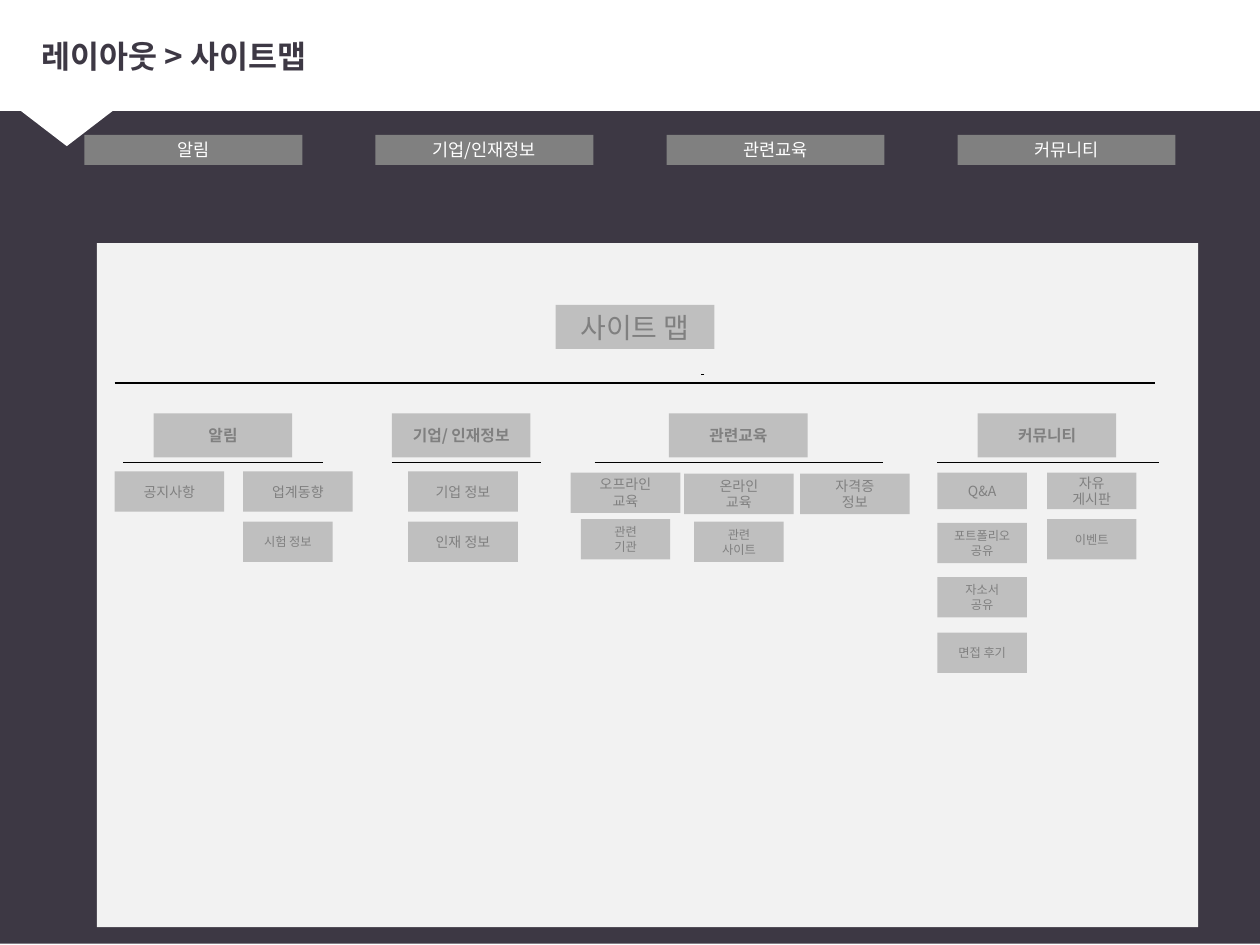
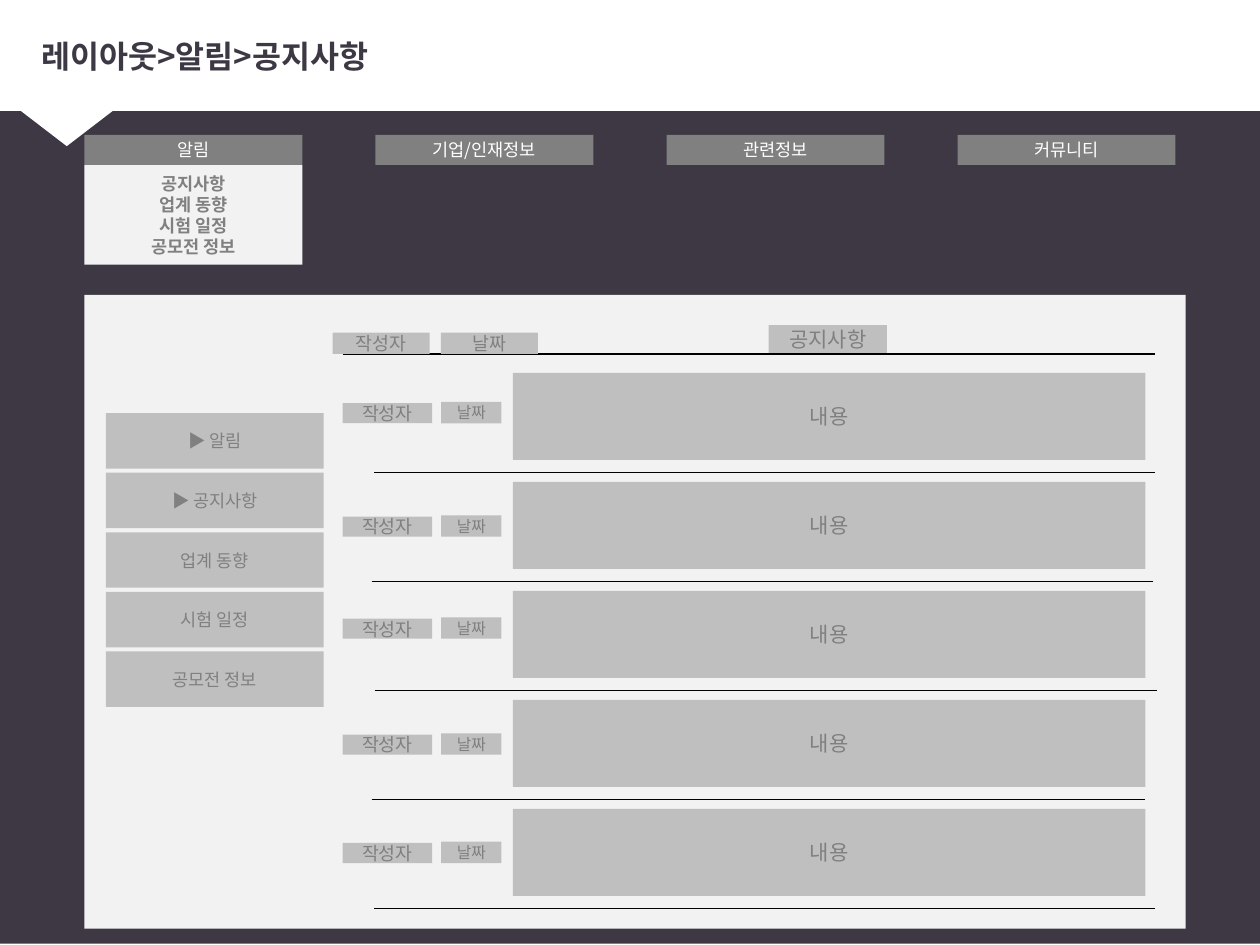
import pptx
import pptx.util
import pptx.oxml.ns
import pptx.dml.color
import pptx.enum.shapes
import pptx.enum.text
import lxml.etree

Inches = pptx.util.Inches
SHAPE = pptx.enum.shapes.MSO_SHAPE
FONT = "Noto Sans CJK KR"
COLORS = {
    "dark": "3D3844",
    "white": "FFFFFF",
    "grey": "808080",
    "block": "BFBFBF",
    "panel": "F2F2F2",
    "rule": "000000",
}

# Site map groups: heading, heading left, rule ends, pages.
# Each page: text, left, top, width, height, text size.
SITE_GROUPS = [
    ("알림", 1.22, (0.98, 2.56), [
        ("공지사항", 0.91, 3.74, 0.87, 0.32, 8),
        ("업계동향", 1.93, 3.74, 0.87, 0.32, 8),
        ("시험 정보", 1.93, 4.14, 0.71, 0.32, 7),
    ]),
    ("기업/ 인재정보", 3.11, (3.11, 4.29), [
        ("기업 정보", 3.24, 3.74, 0.87, 0.32, 8),
        ("인재 정보", 3.24, 4.14, 0.87, 0.32, 8),
    ]),
    ("관련교육", 5.31, (4.72, 7.01), [
        ("오프라인\n교육", 4.53, 3.75, 0.87, 0.32, 8),
        ("온라인\n교육", 5.43, 3.76, 0.87, 0.32, 8),
        ("자격증\n정보", 6.35, 3.76, 0.87, 0.32, 8),
        ("관련\n기관", 4.61, 4.12, 0.71, 0.32, 7),
        ("관련\n사이트", 5.51, 4.14, 0.71, 0.32, 7),
    ]),
    ("커뮤니티", 7.76, (7.44, 9.2), [
        ("Q&A", 7.44, 3.75, 0.71, 0.29, 8),
        ("자유\n게시판", 8.31, 3.75, 0.71, 0.29, 8),
        ("포트폴리오\n공유", 7.44, 4.15, 0.71, 0.32, 7),
        ("이벤트", 8.31, 4.12, 0.71, 0.32, 7),
        ("자소서\n공유", 7.44, 4.58, 0.71, 0.32, 7),
        ("면접 후기", 7.44, 5.02, 0.71, 0.32, 7),
    ]),
]

# Notice rows: top of the author label, ends of the rule below
NOTICE_ROWS = [
    (3.2, 2.97, 9.17),
    (4.1, 2.95, 9.15),
    (4.91, 2.98, 9.18),
    (5.83, 2.95, 9.09),
    (6.69, 2.97, 9.17),
]
NOTICE_PITCH = 0.865
SIDE_MENU = ["▶ 알림", "▶ 공지사항", "업계 동향", "시험 일정", "공모전 정보"]
SIDE_PITCH = 0.4725


def rgb(name):
    return pptx.dml.color.RGBColor.from_string(COLORS[name])


def write(shape, text, size=10, color="grey", bold=False, align="CENTER"):
    """Fill a shape with text, one paragraph per line."""
    frame = shape.text_frame
    frame.word_wrap = True
    frame.vertical_anchor = pptx.enum.text.MSO_ANCHOR.MIDDLE
    for index, line in enumerate(text.split("\n")):
        paragraph = frame.paragraphs[0] if index == 0 else frame.add_paragraph()
        paragraph.alignment = getattr(pptx.enum.text.PP_ALIGN, align)
        run = paragraph.add_run()
        run.text = line
        run.font.size = pptx.util.Pt(size)
        run.font.bold = bold
        run.font.color.rgb = rgb(color)
        run.font.name = FONT
        # Korean text takes the East Asian typeface
        east_asian = lxml.etree.SubElement(
            run._r.get_or_add_rPr(), pptx.oxml.ns.qn("a:ea"))
        east_asian.set("typeface", FONT)


def block(slide, left, top, width, height, fill="block", text="",
          kind=SHAPE.RECTANGLE, **text_format):
    shape = slide.shapes.add_shape(
        kind, Inches(left), Inches(top), Inches(width), Inches(height))
    shape.shadow.inherit = False
    shape.fill.solid()
    shape.fill.fore_color.rgb = rgb(fill)
    shape.line.fill.background()
    if text:
        write(shape, text, **text_format)
    return shape


def rule(slide, start, end, top):
    line = slide.shapes.add_connector(
        pptx.enum.shapes.MSO_CONNECTOR.STRAIGHT,
        Inches(start), Inches(top), Inches(end), Inches(top))
    line.line.color.rgb = rgb("rule")
    line.line.width = pptx.util.Pt(0.75)
    lxml.etree.SubElement(
        line._element.spPr, pptx.oxml.ns.qn("a:effectLst"))


def add_page(deck, title, menu):
    """Slide with the shared backdrop, title and top menu."""
    slide = deck.slides.add_slide(deck.slide_layouts[6])
    block(slide, 0, -0.01, 10.14, 7.5, "dark")
    block(slide, -0.03, -0.02, 10.17, 0.9, "white")
    pointer = block(slide, -0.2, 0.6, 1.46, 0.56, "white",
                    kind=SHAPE.ISOSCELES_TRIANGLE)
    pointer.rotation = 180
    heading = slide.shapes.add_textbox(
        Inches(0.23), Inches(0.13), Inches(9.66), Inches(0.62))
    write(heading, title, size=18, color="dark", bold=True, align="LEFT")
    for index, entry in enumerate(menu):
        block(slide, 0.67 + 2.31 * index, 1.07, 1.73, 0.24, "grey", entry,
              color="white")
    return slide


def build_site_map(deck):
    slide = add_page(deck, "레이아웃 > 사이트맵",
                     ["알림", "기업/인재정보", "관련교육", "커뮤니티"])
    block(slide, 0.77, 1.93, 8.74, 5.43, "panel")
    rule(slide, 0.91, 9.17, 3.04)
    rule(slide, 5.59, 5.56, 2.97)
    block(slide, 4.41, 2.42, 1.26, 0.35, text="사이트 맵", size=16)

    for heading, heading_left, (start, end), pages in SITE_GROUPS:
        block(slide, heading_left, 3.28, 1.1, 0.35, text=heading,
              size=9, bold=True)
        rule(slide, start, end, 3.67)
        for page, left, top, width, height, size in pages:
            block(slide, left, top, width, height, text=page, size=size)


def build_notices(deck):
    slide = add_page(deck, "레이아웃>알림>공지사항",
                     ["알림", "기업/인재정보", "관련정보", "커뮤니티"])
    # Open drop-down under the first menu entry
    block(slide, 0.67, 1.31, 1.73, 0.79, "panel",
          "공지사항\n업계 동향\n시험 일정\n공모전 정보", bold=True)
    block(slide, 0.67, 2.34, 8.74, 5.03, "panel")

    # List header
    rule(slide, 2.72, 9.17, 2.81)
    rule(slide, 5.59, 5.56, 2.97)
    block(slide, 2.64, 2.64, 0.77, 0.17, text="작성자", size=10.5)
    block(slide, 3.5, 2.64, 0.77, 0.17, text="날짜", size=10.5)
    block(slide, 6.1, 2.58, 0.94, 0.22, text="공지사항", size=12)

    # Side menu
    for index, entry in enumerate(SIDE_MENU):
        block(slide, 0.84, 3.28 + SIDE_PITCH * index, 1.73, 0.44, text=entry)

    # Notice rows
    for index, (label_top, start, end) in enumerate(NOTICE_ROWS):
        offset = NOTICE_PITCH * index
        block(slide, 4.07, 2.96 + offset, 5.02, 0.69, text="내용", size=12)
        rule(slide, start, end, 3.75 + offset)
        block(slide, 2.72, label_top, 0.71, 0.16, text="작성자", size=10.5)
        block(slide, 3.5, label_top - 0.01, 0.48, 0.17, text="날짜", size=9)


def main():
    deck = pptx.Presentation()
    deck.slide_width = Inches(10)
    deck.slide_height = Inches(7.5)
    build_site_map(deck)
    build_notices(deck)
    deck.save("out.pptx")


main()
